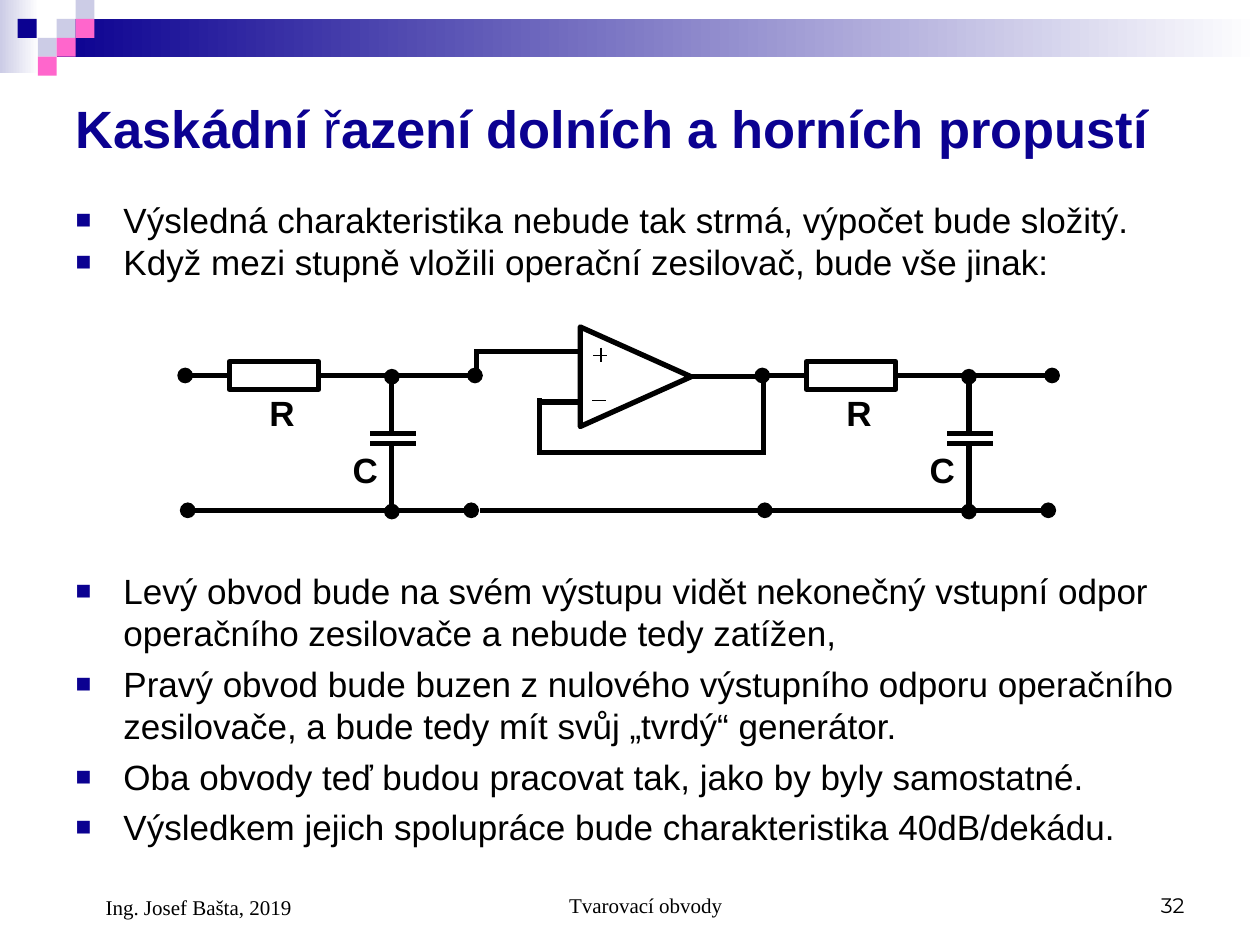
"""Build the slide on cascaded low-pass and high-pass filters."""
from dataclasses import dataclass

from lxml import etree
from pptx import Presentation, util as u
from pptx.dml.color import RGBColor as Rgb
from pptx.enum import shapes as s, text as t
from pptx.oxml import ns

PX = 9144


@dataclass(frozen=True)
class Theme:
    navy: str = "0B0191"
    pale: str = "CCCCE6"
    pink: str = "FF66CC"
    white: str = "FFFFFF"
    black: str = "000000"
    sans: str = "Arial"
    serif: str = "Times New Roman"
    round: str = "Montserrat"
    head: int = 30
    body: int = 20
    foot: int = 12
    bold: float = 3
    thin: float = 0.75


@dataclass(frozen=True)
class Box:
    x: int
    y: int
    w: int
    h: int


@dataclass(frozen=True)
class Wire:
    x1: int
    y1: int
    x2: int
    y2: int
    head: bool = False
    tail: bool = False
    width: float = Theme.bold


@dataclass(frozen=True)
class Note:
    box: Box
    text: str
    font: str
    align: t.PP_ALIGN
    inset: int = 0


TH = Theme()
LEFT = t.PP_ALIGN.LEFT
TILES = [(45, 15, TH.pale), (60, 0, TH.pale), (60, 15, TH.pink), (30, 30, TH.pale),
         (14, 15, TH.navy), (45, 30, TH.pink), (30, 45, TH.pink)]
STAGE = [
    Wire(374, 405, 149, 405, True, True), Wire(181, 298, 147, 298, tail=True),
    Wire(330, 344, 294, 344), Wire(330, 352, 294, 352),
    Wire(311, 406, 311, 353, head=True), Wire(311, 343, 311, 299, tail=True),
    Wire(377, 298, 253, 298, head=True),
]
STEP = 458
LOOP = [
    Wire(428, 319, 477, 319), Wire(516, 299, 601, 299), Wire(606, 361, 606, 302),
    Wire(378, 279, 463, 279), Wire(426, 359, 605, 359), Wire(428, 359, 428, 316),
    Wire(378, 297, 378, 277), Wire(381, 405, 606, 405),
]
SIGNS = [
    Wire(471, 282, 482, 282, width=TH.thin), Wire(470, 318, 481, 318, width=TH.thin),
    Wire(477, 276, 477, 287, width=TH.thin),
]
INTRO = [
    "Výsledná charakteristika nebude tak strmá, výpočet bude složitý.",
    "Když mezi stupně vložili operační zesilovač, bude vše jinak:",
]
POINTS = [
    "Levý obvod bude na svém výstupu vidět nekonečný vstupní odpor operačního zesilovače a nebude tedy zatížen,",
    "Pravý obvod bude buzen z nulového výstupního odporu operačního zesilovače, a bude tedy mít svůj „tvrdý“ generátor.",
    "Oba obvody teď budou pracovat tak, jako by byly samostatné.",
    "Výsledkem jejich spolupráce bude charakteristika 40dB/dekádu.",
]
NOTES = [
    Note(Box(342, 683, 317, 50), "Tvarovací obvody", TH.serif, t.PP_ALIGN.CENTER, 24),
    Note(Box(717, 683, 233, 50), "32", TH.round, t.PP_ALIGN.RIGHT),
    Note(Box(50, 683, 233, 52), "Ing. Josef Bašta, 2019", TH.serif, LEFT, 24),
]


def span(box: Box) -> list[int]:
    """Return the box in EMU."""
    return [n * PX for n in (box.x, box.y, box.w, box.h)]


def place(shape, box: Box) -> None:
    """Move and size a shape."""
    shape.left, shape.top, shape.width, shape.height = span(box)


def style(font, name: str, size: int, tint: str, bold: bool = False) -> None:
    """Format a font."""
    font.name, font.size, font.bold = name, u.Pt(size), bold
    font.color.rgb = Rgb.from_string(tint)


def block(slide, box: Box, fill: str = "", line: bool = False,
          kind=s.MSO_SHAPE.RECTANGLE):
    """Draw a preset shape."""
    shape = slide.shapes.add_shape(kind, *span(box))
    shape.shadow.inherit = False
    if fill:
        shape.fill.solid()
        shape.fill.fore_color.rgb = Rgb.from_string(fill)
    else:
        shape.fill.background()
    if line:
        shape.line.color.rgb = Rgb.from_string(TH.black)
        shape.line.width = u.Pt(TH.bold)
    else:
        shape.line.fill.background()
    return shape


def fade(slide, box: Box, tint: str) -> None:
    """Draw a bar that fades to white."""
    fill = block(slide, box).fill
    fill.gradient()
    fill.gradient_angle = 0
    for stop, shade in zip(fill.gradient_stops, (tint, TH.white)):
        stop.color.rgb = Rgb.from_string(shade)


def draw(slide, wire: Wire, shift: int = 0) -> None:
    """Draw a wire with optional end dots."""
    ends = (wire.x1 + shift, wire.y1, wire.x2 + shift, wire.y2)
    link = slide.shapes.add_connector(s.MSO_CONNECTOR.STRAIGHT, *(n * PX for n in ends))
    link.line.color.rgb = Rgb.from_string(TH.black)
    link.line.width = u.Pt(wire.width)
    props = link.line._get_or_add_ln()
    for tag, dot in (("a:headEnd", wire.head), ("a:tailEnd", wire.tail)):
        if dot:
            etree.SubElement(props, ns.qn(tag), type="oval")
    etree.SubElement(link._element.spPr, ns.qn("a:effectLst"))


def label(slide, box: Box, words: str, font: str, size: int, bold: bool = False):
    """Write a text box and return it."""
    area = slide.shapes.add_textbox(*span(box))
    frame = area.text_frame
    frame.word_wrap = True
    frame.text = words
    style(frame.paragraphs[0].runs[0].font, font, size, TH.black, bold)
    return area


def stage(slide, shift: int) -> None:
    """Draw one RC stage."""
    block(slide, Box(182 + shift, 287, 71, 22), line=True)
    for wire in STAGE:
        draw(slide, wire, shift)
    for x, y, name in ((204, 306, "R"), (270, 351, "C")):
        label(slide, Box(x + shift, y, 34, 44), name, TH.sans, TH.body, True)


def bullets(shape, box: Box, lines: list[str], pitch: float) -> None:
    """Fill a body placeholder with a bulleted list."""
    place(shape, box)
    frame = shape.text_frame
    frame.auto_size = t.MSO_AUTO_SIZE.NONE
    frame.text = "\n".join(lines)
    for i, para in enumerate(frame.paragraphs):
        props = para._p.get_or_add_pPr()
        props.set("marL", str(38 * PX))
        props.set("indent", str(-38 * PX))
        tint = etree.SubElement(props, ns.qn("a:buClr"))
        etree.SubElement(tint, ns.qn("a:srgbClr"), val=TH.navy)
        etree.SubElement(props, ns.qn("a:buSzPct"), val="75000")
        etree.SubElement(props, ns.qn("a:buFont"), typeface=TH.sans)
        etree.SubElement(props, ns.qn("a:buChar"), char="■")
        para.line_spacing = pitch
        para.space_before = u.Pt(5 if i else 0)
        style(para.runs[0].font, TH.sans, TH.body, TH.black)


def title(shape) -> None:
    """Write the title with one light letter."""
    place(shape, Box(50, 50, 900, 103))
    frame = shape.text_frame
    frame.auto_size = t.MSO_AUTO_SIZE.NONE
    frame.vertical_anchor = t.MSO_ANCHOR.MIDDLE
    para = frame.paragraphs[0]
    para.alignment = LEFT
    for words, bold in (("Kaskádní ", True), ("ř", False),
                        ("azení dolních a horních propustí", True)):
        run = para.add_run()
        run.text = words
        style(run.font, TH.sans, TH.head, TH.navy, bold)


def main() -> None:
    """Build and save the deck."""
    deck = Presentation()
    deck.slide_width, deck.slide_height = 1000 * PX, 750 * PX
    slide = deck.slides.add_slide(deck.slide_layouts[3])
    fade(slide, Box(0, 0, 31, 58), TH.pale)
    fade(slide, Box(45, 15, 955, 30), TH.navy)
    for x, y, tint in TILES:
        block(slide, Box(x, y, 15, 15), tint)
    head, first, second = slide.placeholders
    title(head)
    bullets(first, Box(50, 159, 900, 73), INTRO, 0.8)
    bullets(second, Box(50, 447, 900, 244), POINTS, 1.0)
    for shift in (0, STEP):
        stage(slide, shift)
    for wire in LOOP:
        draw(slide, wire)
    block(slide, Box(465, 255, 79, 88), TH.white, True,
          s.MSO_SHAPE.ISOSCELES_TRIANGLE).rotation = 90
    for wire in SIGNS:
        draw(slide, wire)
    for note in NOTES:
        frame = label(slide, note.box, note.text, note.font, TH.foot).text_frame
        frame.vertical_anchor = t.MSO_ANCHOR.BOTTOM
        para = frame.paragraphs[0]
        para.alignment = note.align
        para._p.get_or_add_pPr().set("marL", str(note.inset * PX))
    deck.save("out.pptx")


if __name__ == "__main__":
    main()
